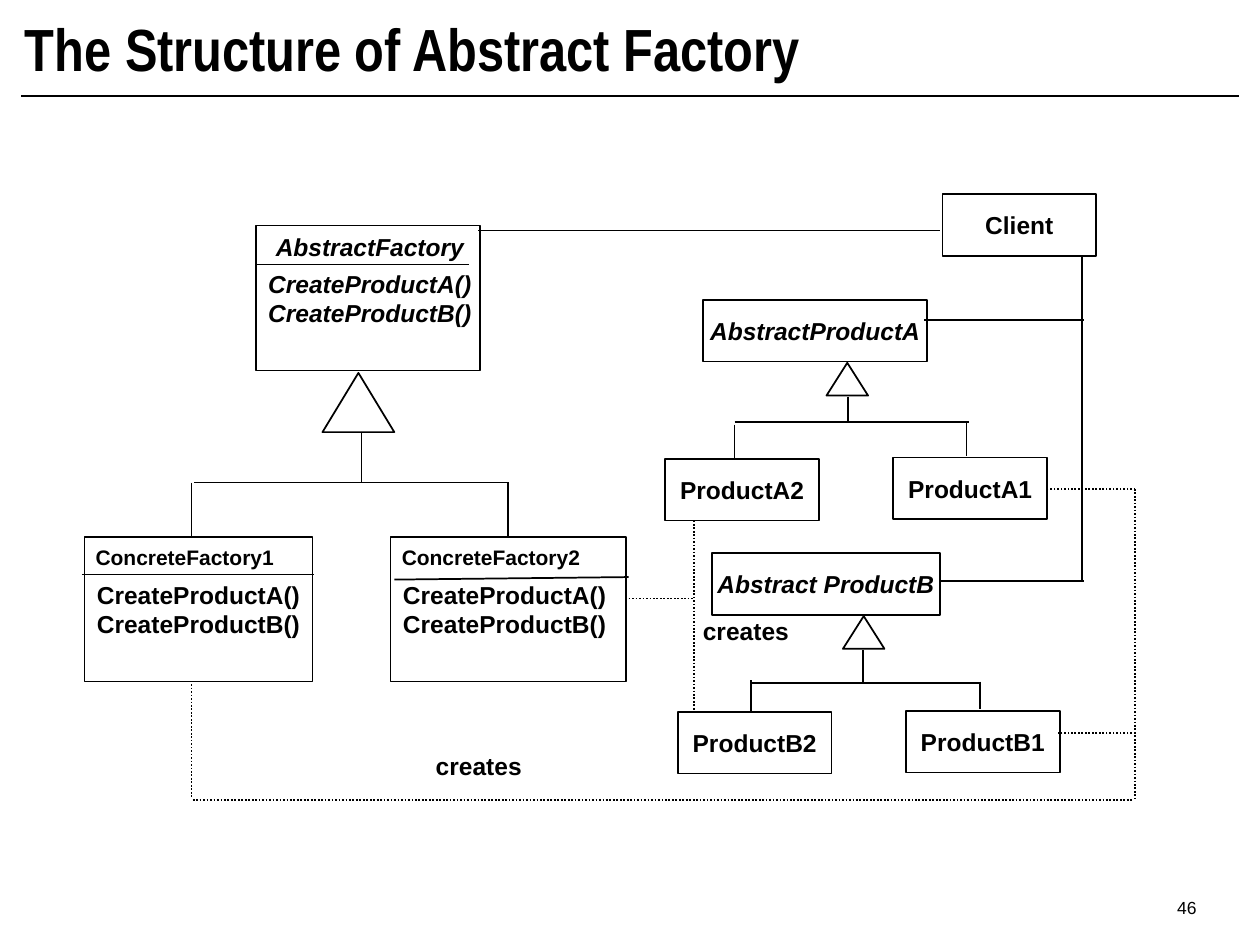
from dataclasses import dataclass

from lxml import etree
from pptx import Presentation
from pptx.dml.color import RGBColor
from pptx.enum.dml import MSO_LINE
from pptx.enum.shapes import MSO_CONNECTOR, MSO_SHAPE
from pptx.enum.text import MSO_ANCHOR, MSO_AUTO_SIZE, PP_ALIGN
from pptx.oxml.ns import qn
from pptx.util import Inches, Pt

RECTANGLE = MSO_SHAPE.RECTANGLE
TRIANGLE = MSO_SHAPE.ISOSCELES_TRIANGLE
STRAIGHT = MSO_CONNECTOR.STRAIGHT
DOTTED = MSO_LINE.ROUND_DOT
TOP, MIDDLE = MSO_ANCHOR.TOP, MSO_ANCHOR.MIDDLE
LEFT, CENTER = PP_ALIGN.LEFT, PP_ALIGN.CENTER
FIT_SHAPE = MSO_AUTO_SIZE.SHAPE_TO_FIT_TEXT
NO_FIT = MSO_AUTO_SIZE.NONE


@dataclass(frozen=True)
class Theme:
    ink: RGBColor = RGBColor(0, 0, 0)
    paper: RGBColor = RGBColor(255, 255, 255)
    title_font: str = "Arial Narrow"
    body_font: str = "Arial"
    title_size: int = 34
    body_size: int = 14
    name_size: int = 12
    number_size: int = 10
    line_width: int = 1


THEME = Theme()


def write_text(shape, text, *, size=THEME.body_size, font=THEME.body_font,
               bold=True, italic=False, align=LEFT, anchor=MIDDLE,
               wrap=False, fit=NO_FIT, spacing=None):
    """Fill a shape with text, one paragraph for each line."""
    frame = shape.text_frame
    frame.text = text
    frame.auto_size = fit
    frame.word_wrap = wrap
    frame.vertical_anchor = anchor
    for paragraph in frame.paragraphs:
        paragraph.alignment = align
        paragraph.line_spacing = spacing
        paragraph.font.size = Pt(size)
        paragraph.font.name = font
        paragraph.font.bold = bold
        paragraph.font.italic = italic
        paragraph.font.color.rgb = THEME.ink


class ClassDiagram:
    def __init__(self, slide, theme):
        self.slide = slide
        self.theme = theme

    def outline(self, line):
        line.color.rgb = self.theme.ink
        line.width = Pt(self.theme.line_width)

    def shape(self, kind, left, top, width, height):
        shape = self.slide.shapes.add_shape(
            kind, Inches(left), Inches(top), Inches(width), Inches(height))
        shape.shadow.inherit = False
        shape.fill.solid()
        shape.fill.fore_color.rgb = self.theme.paper
        self.outline(shape.line)
        return shape

    def line(self, x1, y1, x2, y2, dash=None):
        connector = self.slide.shapes.add_connector(
            STRAIGHT, Inches(x1), Inches(y1), Inches(x2), Inches(y2))
        self.outline(connector.line)
        if dash is not None:
            connector.line.dash_style = dash
        properties = connector._element.find(qn("p:spPr"))
        etree.SubElement(properties, qn("a:effectLst"))

    def text(self, text, left, top, width, height, **text_format):
        box = self.slide.shapes.add_textbox(
            Inches(left), Inches(top), Inches(width), Inches(height))
        write_text(box, text, **text_format)

    def label(self, text, left, top, width, height=0.33, **text_format):
        self.text(text, left, top, width, height,
                  anchor=TOP, fit=FIT_SHAPE, **text_format)

    def simple_class(self, name, left, top, width=1.22, italic=False):
        box = self.shape(RECTANGLE, left, top, width, 0.49)
        write_text(box, name, align=CENTER, italic=italic)

    def factory_class(self, left, top, width, separator, italic=False):
        """Draw a box with both creation methods and the rule above them."""
        box = self.shape(RECTANGLE, left, top, width, 1.15)
        write_text(box, "CreateProductA()\nCreateProductB()", italic=italic)
        self.line(*separator)

    def inheritance(self, triangle, stem, bar, branches):
        """Draw a triangle, its stem (x, y1, y2), the bar (x1, x2, y) and branches."""
        self.shape(TRIANGLE, *triangle)
        start, end, level = bar
        self.line(start, level, end, level)
        for x, upper, lower in (stem, *branches):
            self.line(x, upper, x, lower)


def main():
    presentation = Presentation()
    presentation.slide_width = Inches(10)
    presentation.slide_height = Inches(7.5)
    slide = presentation.slides.add_slide(presentation.slide_layouts[6])
    diagram = ClassDiagram(slide, THEME)

    diagram.line(0.17, 0.76, 9.83, 0.76)
    diagram.text("46", 8.94, 7.02, 0.96, 0.36, size=THEME.number_size,
                 bold=False, align=CENTER)
    diagram.text("The Structure of Abstract Factory", 0.1, 0.14, 9.84, 0.58,
                 size=THEME.title_size, font=THEME.title_font,
                 wrap=True, spacing=0.8)

    diagram.factory_class(2.03, 1.79, 1.78, (2.04, 2.1, 3.72, 2.1), italic=True)
    diagram.factory_class(3.1, 4.26, 1.87, (3.13, 4.6, 4.99, 4.58))
    diagram.factory_class(0.67, 4.26, 1.81, (0.65, 4.56, 2.49, 4.56))
    diagram.label("AbstractFactory", 2.09, 1.79, 1.72, italic=True)
    for name, left in (("ConcreteFactory1", 0.66), ("ConcreteFactory2", 3.09)):
        diagram.label(name, left, 4.27, 1.62, 0.3, size=THEME.name_size)

    diagram.simple_class("Client", 7.48, 1.54)
    diagram.simple_class("AbstractProductA", 5.58, 2.38, 1.78, italic=True)
    diagram.simple_class("ProductA1", 7.09, 3.63)
    diagram.simple_class("ProductA2", 5.28, 3.64)
    diagram.simple_class("Abstract ProductB", 5.65, 4.39, 1.81, italic=True)
    diagram.simple_class("ProductB1", 7.19, 5.64)
    diagram.simple_class("ProductB2", 5.38, 5.65)

    diagram.inheritance((2.56, 2.96, 0.57, 0.47), (2.87, 3.44, 3.83),
                        (1.54, 4.04, 3.83),
                        [(1.52, 3.83, 4.26), (4.03, 3.83, 4.26)])
    diagram.inheritance((6.56, 2.88, 0.33, 0.26), (6.73, 3.15, 3.34),
                        (5.83, 7.69, 3.35),
                        [(5.83, 3.37, 3.65), (7.67, 3.36, 3.62)])
    diagram.inheritance((6.69, 4.89, 0.33, 0.26), (6.85, 5.16, 5.41),
                        (5.96, 7.78, 5.42),
                        [(5.96, 5.4, 5.65), (7.78, 5.41, 5.63)])

    client_links = [
        (7.46, 1.83, 3.79, 1.83),
        (8.59, 2.04, 8.59, 4.62),
        (8.6, 2.54, 7.33, 2.54),
        (8.6, 4.61, 7.45, 4.61),
    ]
    for link in client_links:
        diagram.line(*link)

    creation_links = [
        (4.99, 4.75, 5.51, 4.75),
        (5.51, 4.13, 5.51, 5.65),
        (1.52, 5.43, 1.52, 6.33),
        (1.53, 6.35, 8.99, 6.35),
        (9.01, 3.88, 9.01, 6.34),
        (9.01, 3.88, 8.31, 3.88),
        (9.01, 5.82, 8.4, 5.82),
    ]
    for link in creation_links:
        diagram.line(*link, dash=DOTTED)
    for left, top in ((5.48, 4.84), (3.36, 5.91)):
        diagram.label("creates", left, top, 0.88)

    presentation.save("out.pptx")


if __name__ == "__main__":
    main()
